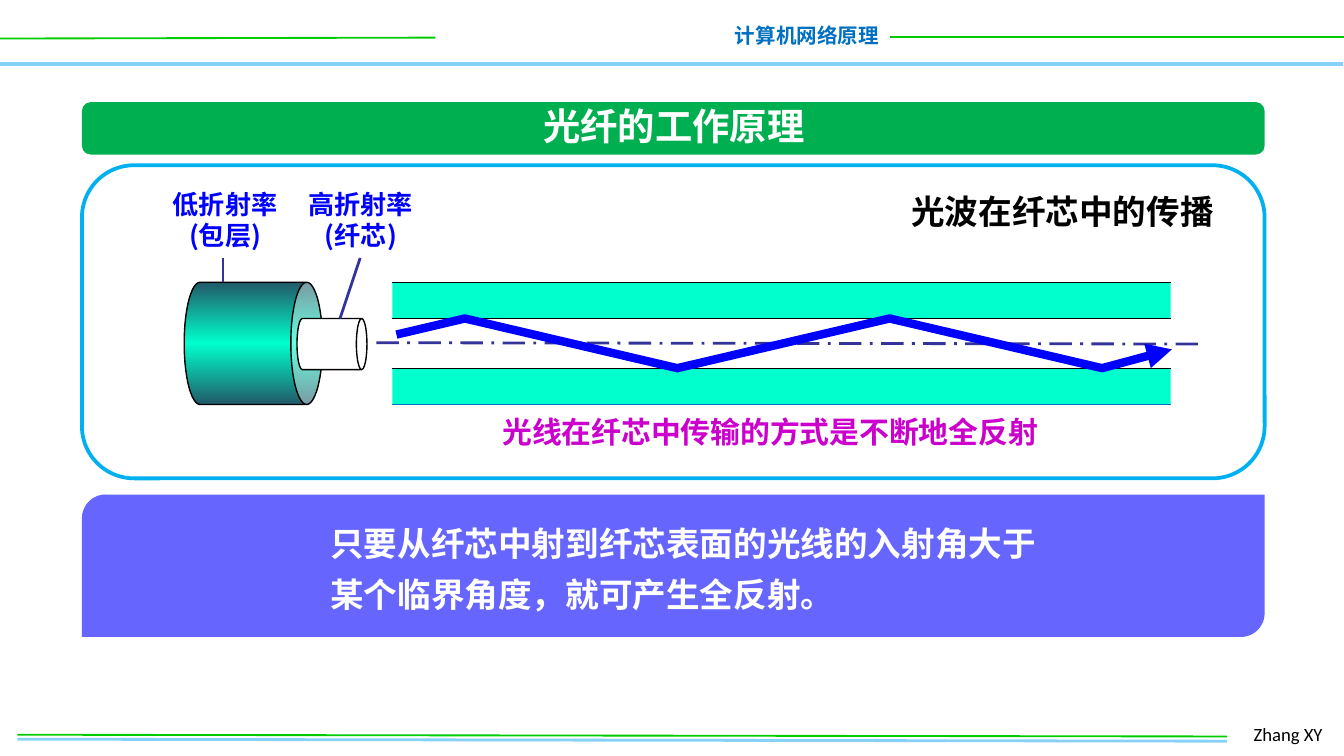
from dataclasses import dataclass

from lxml.etree import SubElement
from pptx import Presentation
from pptx.dml.color import RGBColor
from pptx.enum.dml import MSO_LINE
from pptx.enum.shapes import MSO_CONNECTOR, MSO_SHAPE
from pptx.enum.text import MSO_ANCHOR, PP_ALIGN
from pptx.oxml import parse_xml
from pptx.oxml.ns import nsdecls, qn
from pptx.util import Inches, Pt

# The slide is a grid of 100 columns; cells are square.
COLS, ROWS = 100, 56.25
CELL = Inches(10) // COLS
CJK = "Noto Sans CJK SC"
GREEN, SKY, NAVY, AQUA = "00CC00", "85D1F7", "333399", "00FFCC"


@dataclass
class Box:
    x: float
    y: float
    w: float
    h: float


@dataclass
class Line:
    x1: float
    y1: float
    x2: float
    y2: float
    color: str
    width: float
    dash: MSO_LINE | None = None


def cells(n: float) -> int:
    return round(n * CELL)


def rgb(value: str) -> RGBColor:
    return RGBColor.from_string(value)


def place(box: Box) -> tuple[int, ...]:
    return tuple(cells(n) for n in (box.x, box.y, box.w, box.h))


def add_line(s, line: Line) -> None:
    ends = (cells(n) for n in (line.x1, line.y1, line.x2, line.y2))
    sp = s.shapes.add_connector(MSO_CONNECTOR.STRAIGHT, *ends)
    sp.line.color.rgb = rgb(line.color)
    sp.line.width = Pt(line.width)
    if line.dash:
        sp.line.dash_style = line.dash
    SubElement(sp._element.spPr, qn("a:effectLst"))


def add_block(s, kind: MSO_SHAPE, box: Box, fill: str, line: str = "",
              width: float = 0.75, adj: float | None = None, rotation: float = 0):
    sp = s.shapes.add_shape(kind, *place(box))
    sp.shadow.inherit = False
    sp.rotation = rotation
    sp.fill.solid()
    sp.fill.fore_color.rgb = rgb(fill)
    if line:
        sp.line.color.rgb = rgb(line)
        sp.line.width = Pt(width)
    else:
        sp.line.fill.background()
    if adj is not None:
        sp.adjustments[0] = adj
    return sp


def add_text(s, box: Box, text: str, *, size: float, color: str, font: str = CJK,
             bold: bool = True, align: PP_ALIGN = PP_ALIGN.LEFT,
             wrap: bool = False, spacing: float | None = None) -> None:
    tf = s.shapes.add_textbox(*place(box)).text_frame
    tf.word_wrap = wrap
    tf.vertical_anchor = MSO_ANCHOR.TOP
    for i, words in enumerate(text.split("\n")):
        p = tf.paragraphs[0] if i == 0 else tf.add_paragraph()
        p.alignment = align
        if spacing:
            p.line_spacing = Pt(spacing)
        r = p.add_run()
        r.text = words
        r.font.size, r.font.bold, r.font.name = Pt(size), bold, font
        r.font.color.rgb = rgb(color)
        SubElement(r._r.get_or_add_rPr(), qn("a:ea"), typeface=font)


def shade(sp, stops: list[tuple[int, str]]) -> None:
    """Replace the solid fill with a linear gradient of percent stops."""
    gs = "".join(f'<a:gs pos="{at * 1000}"><a:srgbClr val="{c}"/></a:gs>' for at, c in stops)
    grad = parse_xml(f'<a:gradFill {nsdecls("a")} rotWithShape="1"><a:gsLst>{gs}</a:gsLst>'
                     '<a:lin ang="0" scaled="0"/></a:gradFill>')
    solid = sp._element.spPr.find(qn("a:solidFill"))
    solid.getparent().replace(solid, grad)


def add_ray(s, points: list[tuple[float, float]], color: str, width: float) -> None:
    (x, y), *rest = [(cells(a), cells(b)) for a, b in points]
    builder = s.shapes.build_freeform(x, y)
    builder.add_line_segments(rest, close=False)
    sp = builder.convert_to_shape()
    sp.shadow.inherit = False
    sp.fill.background()
    sp.line.color.rgb = rgb(color)
    sp.line.width = Pt(width)
    SubElement(sp.line._get_or_add_ln(), qn("a:tailEnd"), type="triangle")


def draw_frame(s) -> None:
    for line in (
        Line(-0.1, 4.75, 99.9, 4.75, SKY, 2),
        Line(0, 2.87, 32.4, 2.8, GREEN, 1),
        Line(66.2, 2.73, 100.1, 2.73, GREEN, 1),
        Line(1.3, 55, 91.3, 55.15, SKY, 1.5),
        Line(1.3, 54.67, 91.3, 54.8, GREEN, 1),
    ):
        add_line(s, line)
    add_text(s, Box(53.6, 1.2, 12.8, 2.9), "计算机网络原理", size=11,
             color="0070C0", align=PP_ALIGN.RIGHT)
    add_text(s, Box(92.3, 53.3, 7.4, 2.7), "Zhang XY", size=10, color="000000",
             font="Calibri", bold=False, wrap=True)


def draw_panels(s) -> None:
    left, width = 6.1, 88
    add_block(s, MSO_SHAPE.ROUNDED_RECTANGLE, Box(left, 7.6, width, 3.9), "00B050", adj=0.167)
    add_text(s, Box(39.3, 7.2, 21.7, 4.4), "光纤的工作原理", size=20,
             color="FFFFFF", align=PP_ALIGN.CENTER)
    add_block(s, MSO_SHAPE.ROUNDED_RECTANGLE, Box(left, 12.3, width, 23.3),
              "FFFFFF", line="00B0F0", width=2)
    add_block(s, MSO_SHAPE.ROUND_2_DIAG_RECTANGLE, Box(left, 36.8, width, 10.6), "6666FF")
    add_text(s, Box(23.6, 37.7, 56.5, 8.6),
             "只要从纤芯中射到纤芯表面的光线的入射角大于某个临界角度，就可产生全反射。",
             size=18, color="FFFFFF", wrap=True, spacing=27)
    add_text(s, Box(66.5, 13.7, 25.1, 4), "光波在纤芯中的传播", size=18,
             color="000000", align=PP_ALIGN.CENTER, wrap=True)


def draw_fibre(s) -> None:
    left, right = 29.2, 87.1
    edges = (21, 23.7, 27.4, 30.1)
    for top, bottom, fill in zip(edges, edges[1:], (AQUA, "FFFFFF", AQUA)):
        add_block(s, MSO_SHAPE.RECTANGLE, Box(left, top, right - left, bottom - top), fill)

    cladding = add_block(s, MSO_SHAPE.CAN, Box(14.3, 20.4, 9.1, 10.3), AQUA,
                         line="000000", adj=0.26, rotation=90)
    shade(cladding, [(0, "215968"), (50, AQUA), (100, "215968")])
    add_block(s, MSO_SHAPE.CAN, Box(22.8, 23, 3.8, 5.2), "FFFFFF",
              line="000000", adj=0.207, rotation=90)

    for y in edges[:-1]:
        add_line(s, Line(left, y, right, y, "000000", 0.75))
    add_line(s, Line(left, edges[-1], right, edges[-1], "0070C0", 1))
    add_line(s, Line(28, 25.5, 89.3, 25.6, NAVY, 1.5, MSO_LINE.LONG_DASH_DOT))

    for x, label in ((21.9, "高折射率\n(纤芯)"), (11.8, "低折射率\n(包层)")):
        add_text(s, Box(x, 13.5, 9.9, 5.7), label, size=14, color="0000FF",
                 align=PP_ALIGN.CENTER)
    add_line(s, Line(26.8, 19.2, 25.3, 23.7, NAVY, 1.5))
    add_line(s, Line(16.6, 19.2, 16.6, 21, NAVY, 1.5))
    add_text(s, Box(36.4, 30.3, 42.4, 3.7), "光线在纤芯中传输的方式是不断地全反射",
             size=16, color="CC00CC")

    core_top, core_bottom = edges[1:3]
    bounces = [(34.6 + 15.8 * i, core_bottom if i % 2 else core_top) for i in range(4)]
    add_ray(s, [(29.5, 24.9), *bounces, (87.2, 26)], "0000FF", 4.5)


def main() -> None:
    prs = Presentation()
    prs.slide_width, prs.slide_height = cells(COLS), cells(ROWS)
    s = prs.slides.add_slide(prs.slide_layouts[6])
    draw_frame(s)
    draw_panels(s)
    draw_fibre(s)
    prs.save("out.pptx")


if __name__ == "__main__":
    main()
